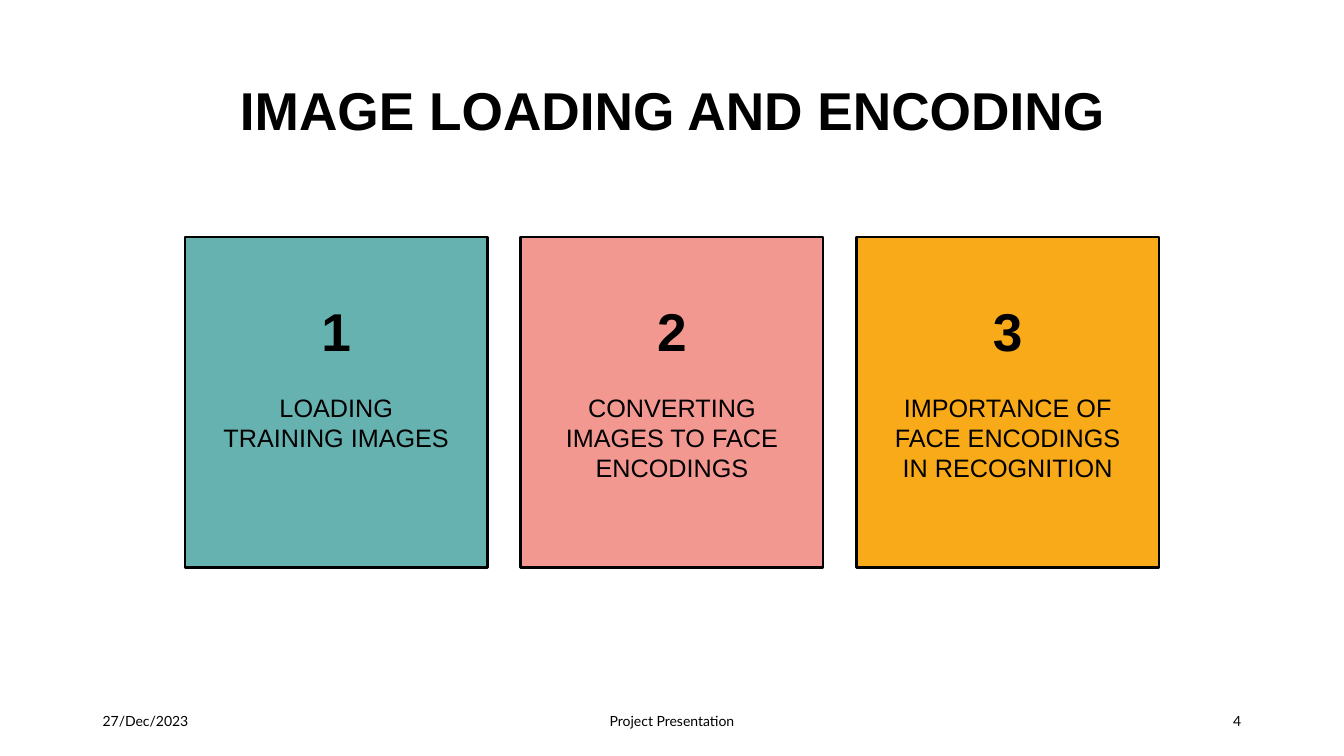
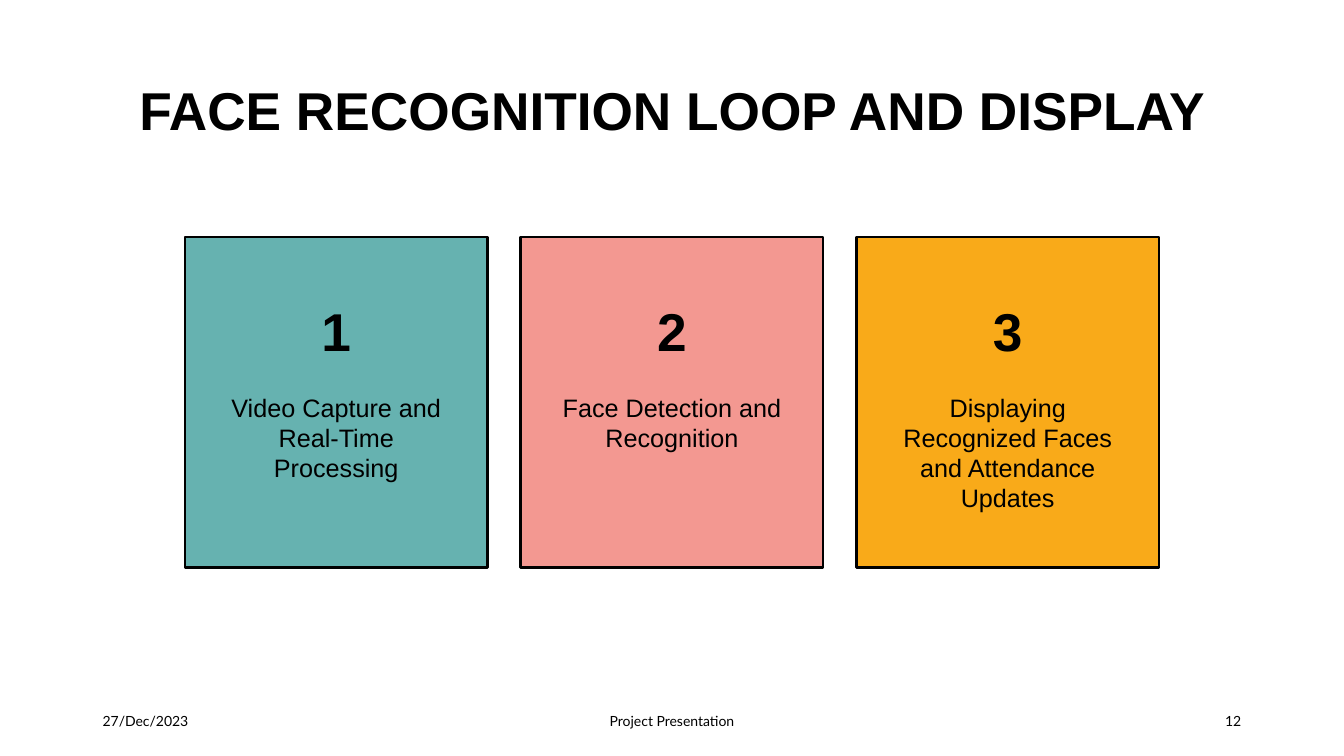
from pptx import Presentation
from pptx import util as u
from pptx.dml.color import RGBColor
from pptx.enum import shapes, text

COLORS = {
    "ink": "000000",
    "teal": "66B2B0",
    "coral": "F39891",
    "amber": "F9AA19",
}
CARD_FILLS = ["teal", "coral", "amber"]
SLIDE_WIDTH, SLIDE_HEIGHT = 13.33, 7.5
MARGIN = 0.92
CARD_TOP, CARD_WIDTH, CARD_HEIGHT, CARD_GAP = 2.35, 3, 3.28, 0.33
CAPTION_TOP, CAPTION_WIDTH, CAPTION_HEIGHT = 3.84, 2.5, 1.55
FOOTER_TOP, FOOTER_HEIGHT, FOOTER_SIDE, FOOTER_MIDDLE = 6.95, 0.4, 3, 4.5

LEFT, CENTER, RIGHT = text.PP_ALIGN.LEFT, text.PP_ALIGN.CENTER, text.PP_ALIGN.RIGHT
TOP, MIDDLE = text.MSO_ANCHOR.TOP, text.MSO_ANCHOR.MIDDLE

SLIDES = [
    (4, "IMAGE LOADING AND ENCODING", [
        "LOADING TRAINING IMAGES",
        "CONVERTING IMAGES TO FACE ENCODINGS",
        "IMPORTANCE OF FACE ENCODINGS IN RECOGNITION",
    ]),
    (12, "FACE RECOGNITION LOOP AND DISPLAY", [
        "Video Capture and Real-Time Processing",
        "Face Detection and Recognition",
        "Displaying Recognized Faces and Attendance Updates",
    ]),
]


class Deck:
    def __init__(self):
        self.presentation = Presentation()
        self.presentation.slide_width = u.Inches(SLIDE_WIDTH)
        self.presentation.slide_height = u.Inches(SLIDE_HEIGHT)
        self.slide = None

    def color(self, name):
        return RGBColor.from_string(COLORS[name])

    def set_text(self, shape, words, size, font="Arial", bold=False,
                 align=CENTER, anchor=TOP, spacing=1.0):
        frame = shape.text_frame
        frame.text = words
        frame.word_wrap = True
        frame.auto_size = text.MSO_AUTO_SIZE.NONE
        frame.vertical_anchor = anchor
        paragraph = frame.paragraphs[0]
        paragraph.alignment = align
        paragraph.line_spacing = spacing
        paragraph.font.name = font
        paragraph.font.size = u.Pt(size)
        paragraph.font.bold = bold
        paragraph.font.color.rgb = self.color("ink")

    def heading(self, shape, words, anchor):
        self.set_text(shape, words, 38, bold=True, anchor=anchor, spacing=0.9)

    def label(self, left, top, width, height, words, size, **style):
        box = self.slide.shapes.add_textbox(
            u.Inches(left), u.Inches(top), u.Inches(width), u.Inches(height))
        self.set_text(box, words, size, **style)

    def add_slide(self, title):
        layout = self.presentation.slide_layouts.get_by_name("Title Only")
        self.slide = self.presentation.slides.add_slide(layout)
        shape = self.slide.shapes.title
        shape.left, shape.top = u.Inches(MARGIN), u.Inches(0.4)
        shape.width, shape.height = u.Inches(11.5), u.Inches(1.45)
        self.heading(shape, title, MIDDLE)

    def card(self, left, number, caption, fill):
        shape = self.slide.shapes.add_shape(
            shapes.MSO_SHAPE.RECTANGLE, u.Inches(left), u.Inches(CARD_TOP),
            u.Inches(CARD_WIDTH), u.Inches(CARD_HEIGHT))
        shape.shadow.inherit = False
        shape.fill.solid()
        shape.fill.fore_color.rgb = self.color(fill)
        shape.line.color.rgb = self.color("ink")
        shape.line.width = u.Pt(1.75)
        shape.text_frame.margin_top = u.Inches(0.68)
        self.heading(shape, str(number), TOP)
        self.label(left + (CARD_WIDTH - CAPTION_WIDTH) / 2, CAPTION_TOP,
                   CAPTION_WIDTH, CAPTION_HEIGHT, caption, 18)

    def cards(self, captions):
        pitch = CARD_WIDTH + CARD_GAP
        start = (SLIDE_WIDTH - len(captions) * pitch + CARD_GAP) / 2
        for index, (caption, fill) in enumerate(zip(captions, CARD_FILLS)):
            self.card(start + index * pitch, index + 1, caption, fill)

    def footer(self, page):
        parts = [
            (MARGIN, FOOTER_SIDE, "27/Dec/2023", LEFT),
            ((SLIDE_WIDTH - FOOTER_MIDDLE) / 2, FOOTER_MIDDLE,
             "Project Presentation", CENTER),
            (SLIDE_WIDTH - MARGIN - FOOTER_SIDE, FOOTER_SIDE, str(page), RIGHT),
        ]
        for left, width, words, align in parts:
            self.label(left, FOOTER_TOP, width, FOOTER_HEIGHT, words, 10,
                       font="Lato", align=align, anchor=MIDDLE)


def main():
    deck = Deck()
    for page, title, captions in SLIDES:
        deck.add_slide(title)
        deck.cards(captions)
        deck.footer(page)
    deck.presentation.save("out.pptx")


if __name__ == "__main__":
    main()
